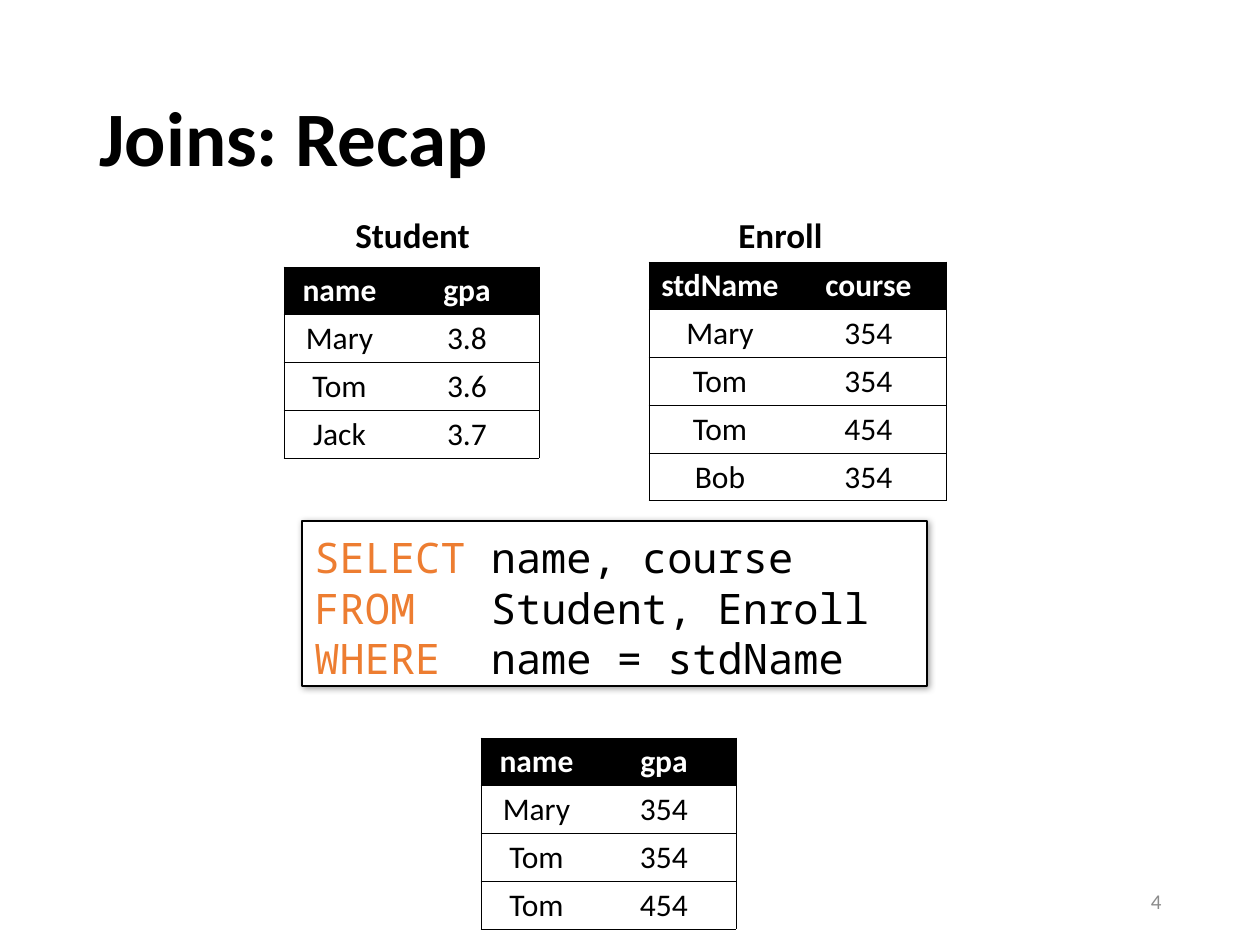
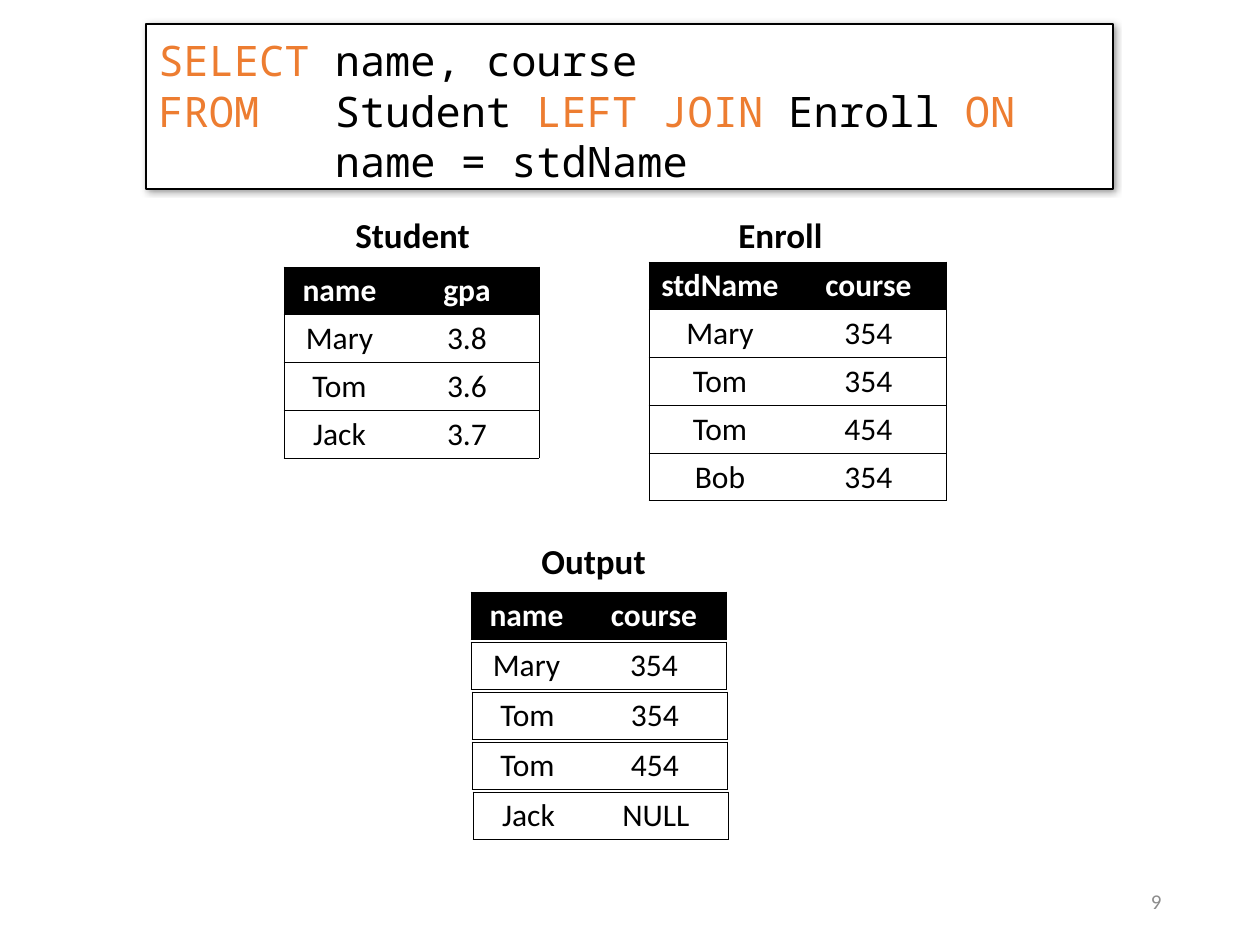
from dataclasses import dataclass

from lxml import etree
from pptx import Presentation
from pptx.dml.color import RGBColor
from pptx.enum.shapes import MSO_SHAPE
from pptx.enum.text import MSO_ANCHOR, PP_ALIGN
from pptx.oxml import parse_xml
from pptx.oxml.ns import nsdecls, qn
from pptx.util import Emu, Pt

# Shared look
PX = 914400 // 126
BLACK = RGBColor(0x00, 0x00, 0x00)
WHITE = RGBColor(0xFF, 0xFF, 0xFF)
GREY = RGBColor(0x8C, 0x8C, 0x8C)
ORANGE = RGBColor(0xED, 0x7D, 0x31)
SANS, MONO = "Calibri", "Noto Sans Mono"
LEFT, CENTER, RIGHT = PP_ALIGN.LEFT, PP_ALIGN.CENTER, PP_ALIGN.RIGHT
TOP, MIDDLE = MSO_ANCHOR.TOP, MSO_ANCHOR.MIDDLE
RECT = MSO_SHAPE.RECTANGLE
ROW = 47
EDGE = 6350


@dataclass
class Label:
    text: str
    x: int
    y: int
    w: int
    h: int = 55
    size: int = 20
    color: RGBColor = BLACK
    bold: bool = True
    align: PP_ALIGN = LEFT
    anchor: MSO_ANCHOR = TOP
    wrap: bool = False
    space: float = 1.0


@dataclass
class Grid:
    x: int
    y: int
    cols: tuple[int, ...]
    rows: list[tuple[str, ...]]
    head: bool = True


@dataclass
class Query:
    x: int
    y: int
    w: int
    lines: list[str]  # keywords stand between asterisks


def px(n: int) -> Emu:
    return Emu(n * PX)


def draw_label(slide, lab: Label) -> None:
    box = slide.shapes.add_textbox(px(lab.x), px(lab.y), px(lab.w), px(lab.h))
    frame = box.text_frame
    frame.word_wrap = lab.wrap
    frame.vertical_anchor = lab.anchor
    par = frame.paragraphs[0]
    par.text = lab.text
    par.alignment = lab.align
    par.line_spacing = lab.space
    font = par.font
    font.name, font.size, font.bold = SANS, Pt(lab.size), lab.bold
    font.color.rgb = lab.color


def set_edge(cell, side: str, shown: bool) -> None:
    props = cell._tc.get_or_add_tcPr()
    line = etree.SubElement(props, qn(f"a:ln{side}"), w=str(EDGE if shown else 0))
    if shown:
        fill = etree.SubElement(line, qn("a:solidFill"))
        etree.SubElement(fill, qn("a:srgbClr"), val=str(BLACK))
    else:
        etree.SubElement(line, qn("a:noFill"))


def draw_grid(slide, grid: Grid) -> None:
    count, last = len(grid.rows), len(grid.cols) - 1
    table = slide.shapes.add_table(
        count, last + 1, px(grid.x), px(grid.y),
        px(sum(grid.cols)), px(ROW * count)).table
    table.first_row, table.horz_banding = grid.head, False
    for col, width in zip(table.columns, grid.cols):
        col.width = px(width)
    for r, words in enumerate(grid.rows):
        table.rows[r].height = px(ROW)
        head = grid.head and r == 0
        for c, word in enumerate(words):
            cell = table.cell(r, c)
            cell.margin_left = cell.margin_right = px(9)
            cell.margin_top = cell.margin_bottom = px(5)
            # Only the outer sides and the lines between rows show
            for side, shown in (("L", c == 0), ("R", c == last),
                                ("T", True), ("B", True)):
                set_edge(cell, side, shown)
            if head:
                cell.fill.solid()
                cell.fill.fore_color.rgb = BLACK
            else:
                cell.fill.background()
            par = cell.text_frame.paragraphs[0]
            par.text = word
            par.alignment = CENTER
            font = par.font
            font.name, font.size, font.bold = SANS, Pt(18), head
            font.color.rgb = WHITE if head else BLACK


def draw_query(slide, query: Query) -> None:
    box = slide.shapes.add_shape(
        RECT, px(query.x), px(query.y), px(query.w), px(165))
    box.fill.solid()
    box.fill.fore_color.rgb = WHITE
    box.line.color.rgb = BLACK
    box.line.width = Pt(0.75)
    box._element.spPr.append(parse_xml(
        f'<a:effectLst {nsdecls("a")}>'
        '<a:outerShdw blurRad="50800" dist="12700" dir="2700000" algn="tl" '
        'rotWithShape="0"><a:srgbClr val="000000"><a:alpha val="40000"/>'
        '</a:srgbClr></a:outerShdw></a:effectLst>'))
    frame = box.text_frame
    frame.word_wrap = True
    frame.vertical_anchor = TOP
    frame.margin_top, frame.margin_bottom = px(10), 0
    for i, line in enumerate(query.lines):
        par = frame.add_paragraph() if i else frame.paragraphs[0]
        par.alignment = LEFT
        par.line_spacing = Pt(29)
        par.font.name, par.font.size = MONO, Pt(24)
        for n, part in enumerate(line.split("*")):
            if part:
                run = par.add_run()
                run.text = part
                run.font.color.rgb = ORANGE if n % 2 else BLACK


DRAW = {Label: draw_label, Grid: draw_grid, Query: draw_query}


def add_slide(deck, number: int, parts: list) -> None:
    slide = deck.slides.add_slide(deck.slide_layouts[6])
    foot = Label(str(number), 890, 876, 284, 50, 12, GREY, False,
                 RIGHT, MIDDLE, True)
    for part in [foot, *parts]:
        DRAW[type(part)](slide, part)


# Input tables, on both slides
PAIR = (111, 144)
INPUTS = [
    Label("Student", 343, 207, 141),
    Grid(284, 267, PAIR, [("name", "gpa"), ("Mary", "3.8"),
                          ("Tom", "3.6"), ("Jack", "3.7")]),
    Label("Enroll", 726, 207, 110),
    Grid(649, 262, (142, 155), [("stdName", "course"), ("Mary", "354"),
                                ("Tom", "354"), ("Tom", "454"),
                                ("Bob", "354")]),
]
MATCHES = [("Mary", "354"), ("Tom", "354"), ("Tom", "454")]


def main() -> None:
    deck = Presentation()
    deck.slide_width, deck.slide_height = px(1260), px(945)

    # Inner join
    add_slide(deck, 4, [
        Label("Joins: Recap", 87, 50, 1086, 183, 44, anchor=MIDDLE,
              wrap=True, space=0.9),
        Query(302, 521, 625, ["*SELECT* name, course",
                              "*FROM*   Student, Enroll",
                              "*WHERE*  name = stdName"]),
        *INPUTS,
        Grid(481, 738, PAIR, [("name", "gpa"), *MATCHES]),
    ])

    # Left join, its output built of single rows
    output = [("name", "course"), *MATCHES, ("Jack", "NULL")]
    add_slide(deck, 9, [
        Query(146, 24, 967, ["*SELECT* name, course",
                             "*FROM*   Student *LEFT JOIN* Enroll *ON*",
                             "       name = stdName"]),
        *INPUTS,
        Label("Output", 529, 533, 131),
        *(Grid(471 + i // 2, 592 + 50 * i, PAIR, [row], i == 0)
          for i, row in enumerate(output)),
    ])
    deck.save("out.pptx")


if __name__ == "__main__":
    main()
